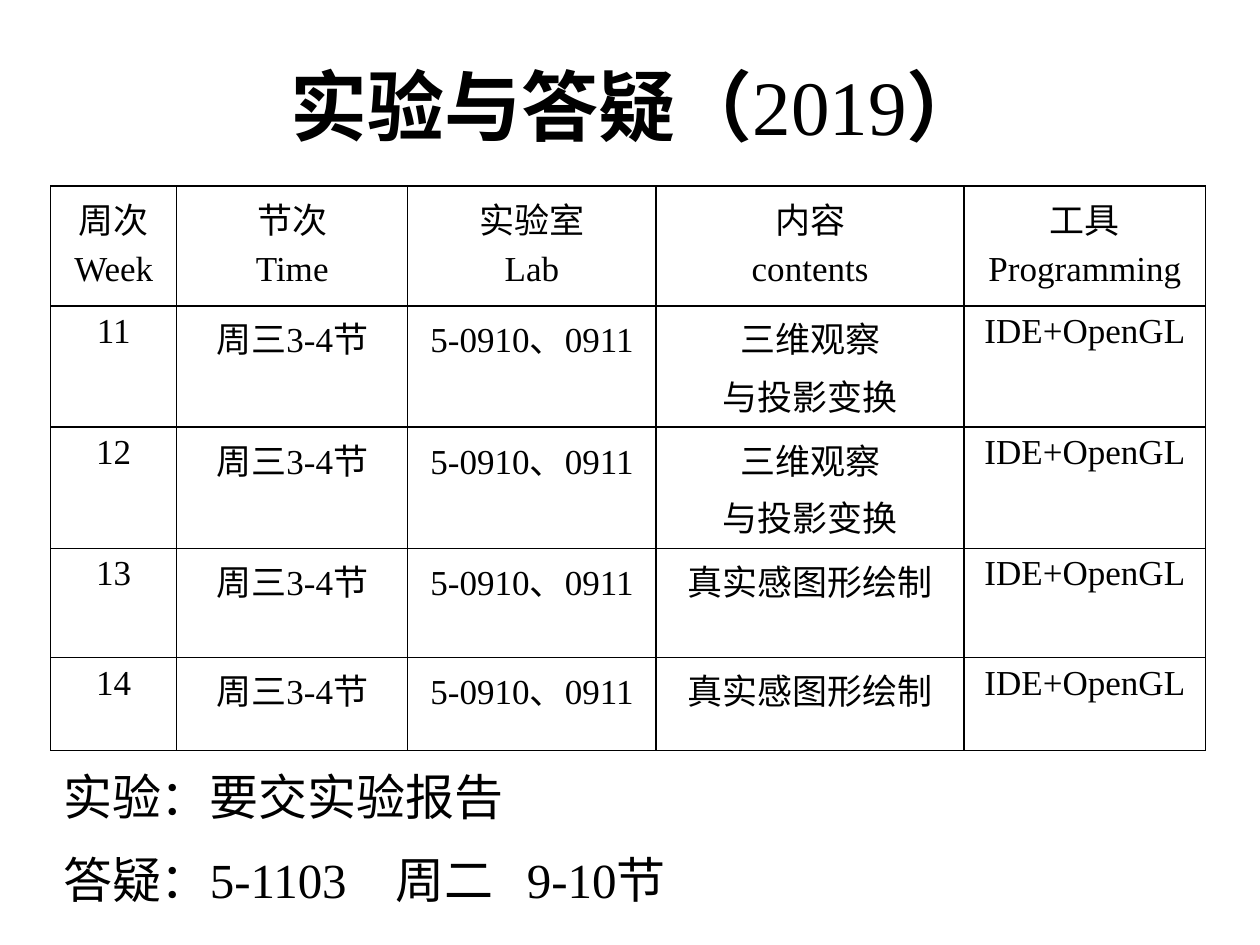
from lxml import etree
from pptx import Presentation
from pptx.dml.color import RGBColor
from pptx.enum.text import MSO_ANCHOR, PP_ALIGN
from pptx.oxml.ns import qn
from pptx.util import Pt

CENTER = PP_ALIGN.CENTER
LEFT = PP_ALIGN.LEFT
MIDDLE = MSO_ANCHOR.MIDDLE
SERIF = "Times New Roman"
SANS = "Arial"
BLACK = "000000"

COLUMN_WIDTHS = [72, 132, 142, 176, 138]
ROW_HEIGHTS = [68.5, 69, 69, 62.5, 53]
HEADINGS = ["周次\nWeek", "节次\nTime", "实验室\nLab", "内容\ncontents", "工具\nProgramming"]
VIEWING = "三维观察\n与投影变换"
RENDERING = "真实感图形绘制"
WEEKLY_CONTENTS = {"11": VIEWING, "12": VIEWING, "13": RENDERING, "14": RENDERING}
NOTES = ["实验：要交实验报告", "答疑：5-1103\t周二\t9-10节"]
NOTE_TABS = [190, 265]


def rgb(hex_colour):
    """Turn a hex string into a colour."""
    return RGBColor.from_string(hex_colour)


def format_paragraph(paragraph, size, align, font_name=SERIF):
    """Set the alignment and font of a paragraph."""
    paragraph.alignment = align
    paragraph.font.size = Pt(size)
    paragraph.font.name = font_name
    paragraph.font.color.rgb = rgb(BLACK)


def add_tabs(paragraph, positions):
    """Give a paragraph left tab stops."""
    properties = paragraph._p.get_or_add_pPr()
    tabs = etree.SubElement(properties, qn("a:tabLst"))
    for position in positions:
        etree.SubElement(tabs, qn("a:tab"), pos=str(Pt(position)), algn="l")


def write_lines(frame, lines, size, align, gap, font_name=SERIF, tabs=()):
    """Write one paragraph per line, with a gap between them."""
    for index, line in enumerate(lines):
        paragraph = frame.add_paragraph() if index else frame.paragraphs[0]
        paragraph.text = line
        if tabs:
            add_tabs(paragraph, tabs)
        if index:
            paragraph.space_before = Pt(gap)
        format_paragraph(paragraph, size, align, font_name)


def add_title(slide):
    """Fill the title, with the year in regular weight."""
    title = slide.shapes.title
    title.left, title.top, title.width, title.height = Pt(31), Pt(15), Pt(666), Pt(90)
    title.text_frame.vertical_anchor = MIDDLE
    heading = title.text_frame.paragraphs[0]
    for part, bold in [("实验与答疑（", True), ("2019", False), ("）", True)]:
        run = heading.add_run()
        run.text = part
        run.font.bold = bold
    format_paragraph(heading, 44, CENTER)


def add_borders(cell):
    """Draw a thin black line on each side of a cell."""
    properties = cell._tc.get_or_add_tcPr()
    for position, side in enumerate(["a:lnL", "a:lnR", "a:lnT", "a:lnB"]):
        line = etree.Element(qn(side), w=str(Pt(1)))
        fill = etree.SubElement(line, qn("a:solidFill"))
        etree.SubElement(fill, qn("a:srgbClr"), val=BLACK)
        properties.insert(position, line)


def add_schedule(slide):
    """Add the table of weekly lab sessions."""
    sessions = [HEADINGS] + [
        [week, "周三3-4节", "5-0910、0911", contents, "IDE+OpenGL"]
        for week, contents in WEEKLY_CONTENTS.items()
    ]
    schedule = slide.shapes.add_table(
        len(sessions), len(HEADINGS), Pt(29), Pt(106.3),
        Pt(sum(COLUMN_WIDTHS)), Pt(sum(ROW_HEIGHTS)),
    ).table
    schedule.first_row = False
    schedule.horz_banding = False
    for column, width in zip(schedule.columns, COLUMN_WIDTHS):
        column.width = Pt(width)
    for row, height, session in zip(schedule.rows, ROW_HEIGHTS, sessions):
        row.height = Pt(height)
        for cell, text in zip(row.cells, session):
            font_name = SANS if text == RENDERING else SERIF
            write_lines(cell.text_frame, text.split("\n"), 20, CENTER, 4, font_name)
            cell.fill.background()
            add_borders(cell)


def add_notes(slide):
    """Add the remarks on reports and office hours."""
    remarks = slide.shapes.add_textbox(Pt(29), Pt(434.5), Pt(682), Pt(102)).text_frame
    remarks.word_wrap = True
    write_lines(remarks, NOTES, 28, LEFT, 14, tabs=NOTE_TABS)


def main():
    """Build the lab schedule slide."""
    presentation = Presentation()
    presentation.slide_width, presentation.slide_height = Pt(720), Pt(540)
    slide = presentation.slides.add_slide(presentation.slide_layouts[5])
    add_title(slide)
    add_schedule(slide)
    add_notes(slide)
    presentation.save("out.pptx")


if __name__ == "__main__":
    main()
